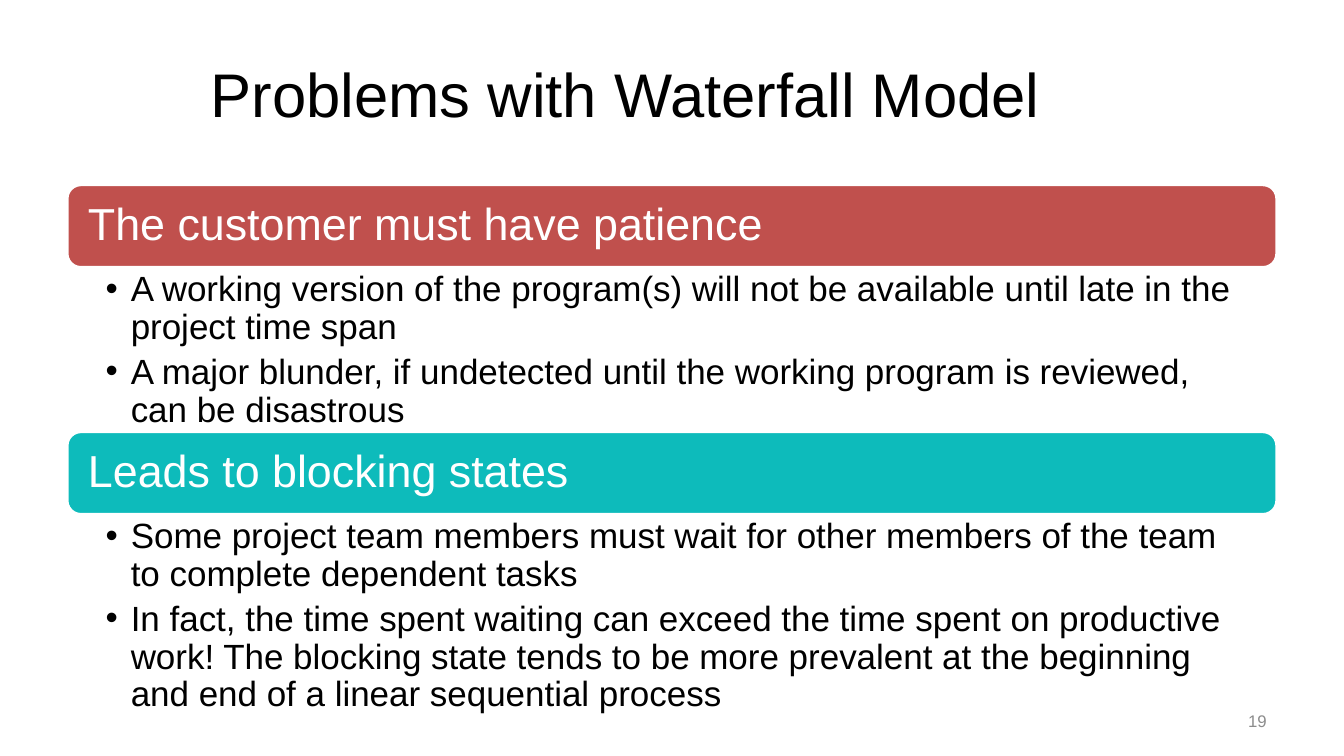
from dataclasses import dataclass
from lxml.etree import SubElement
from pptx import Presentation
from pptx.dml.color import RGBColor
from pptx.enum.shapes import MSO_SHAPE as Shape
from pptx.enum.text import MSO_ANCHOR as Anchor, MSO_AUTO_SIZE as AutoSize, PP_ALIGN as Align
from pptx.oxml.ns import qn
from pptx.util import Pt


@dataclass(frozen=True)
class Theme:
    font: str = "Arial"
    black: str = "000000"
    white: str = "FFFFFF"
    gray: str = "8C8C8C"
    red: str = "C0504D"
    teal: str = "0DBBBB"
    title_size: int = 44
    banner_size: int = 32
    list_size: int = 25
    number_size: int = 12


theme = Theme()


def write_text(shape, *texts, size, color=theme.black, align=Align.LEFT, anchor=Anchor.MIDDLE,
               insets=(7.2, 3.6, 7.2, 3.6), line_spacing=1.0, space_after=0, bullet=None):
    frame = shape.text_frame
    frame.word_wrap = True
    frame.auto_size = AutoSize.NONE
    frame.vertical_anchor = anchor
    frame.margin_left, frame.margin_top, frame.margin_right, frame.margin_bottom = map(Pt, insets)
    frame.text = "\n".join(texts)
    for paragraph in frame.paragraphs:
        paragraph.alignment = align
        paragraph.line_spacing = line_spacing
        paragraph.space_before = Pt(0)
        paragraph.space_after = Pt(space_after)
        if bullet:
            properties = paragraph._p.get_or_add_pPr()
            properties.set("marL", str(Pt(18)))
            properties.set("indent", str(Pt(-18)))
            SubElement(properties, qn("a:buFont"), typeface=theme.font)
            SubElement(properties, qn("a:buChar"), char=bullet)
        paragraph.font.name = theme.font
        paragraph.font.size = Pt(size)
        paragraph.font.color.rgb = RGBColor.from_string(color)


presentation = Presentation()
presentation.slide_width, presentation.slide_height = Pt(960), Pt(540)
slide = presentation.slides.add_slide(presentation.slide_layouts.get_by_name("Two Content"))

title = slide.shapes.title
title.left, title.top, title.width, title.height = Pt(48), Pt(21.6), Pt(798), Pt(90)
write_text(title, "Problems with Waterfall Model", size=theme.title_size, align=Align.CENTER)

sections = [
    ("The customer must have patience", theme.red, 117.4, [
        "A working version of the program(s) will not be available until late in the project time span",
        "A major blunder, if undetected until the working program is reviewed, can be disastrous",
    ]),
    ("Leads to blocking states", theme.teal, 143.4, [
        "Some project team members must wait for other members of the team to complete dependent tasks",
        "In fact, the time spent waiting can exceed the time spent on productive work! "
        "The blocking state tends to be more prevalent at the beginning and end of a linear sequential process",
    ]),
]
left, width, banner_height = 48, 864, 59
top = 132

for placeholder_index, (heading, color, list_height, points) in enumerate(sections, start=1):
    banner = slide.shapes.add_shape(
        Shape.ROUNDED_RECTANGLE, Pt(left), Pt(top), Pt(width), Pt(banner_height))
    banner.shadow.inherit = False
    banner.fill.solid()
    banner.fill.fore_color.rgb = RGBColor.from_string(color)
    banner.line.color.rgb = RGBColor.from_string(theme.white)
    banner.line.width = Pt(2)
    write_text(banner, heading, size=theme.banner_size, color=theme.white,
               insets=(12, 9, 12, 9), line_spacing=0.9)
    top += banner_height

    body = slide.placeholders[placeholder_index]
    body.left, body.top, body.width, body.height = Pt(left), Pt(top), Pt(width), Pt(list_height)
    write_text(body, *points, size=theme.list_size, anchor=Anchor.TOP,
               insets=(27.4, 3, 18, 3), line_spacing=0.9, space_after=5, bullet="•")
    top += list_height

slide_number = slide.shapes.add_textbox(Pt(688), Pt(500), Pt(224), Pt(29))
write_text(slide_number, "19", size=theme.number_size, color=theme.gray, align=Align.RIGHT)

presentation.save("out.pptx")
